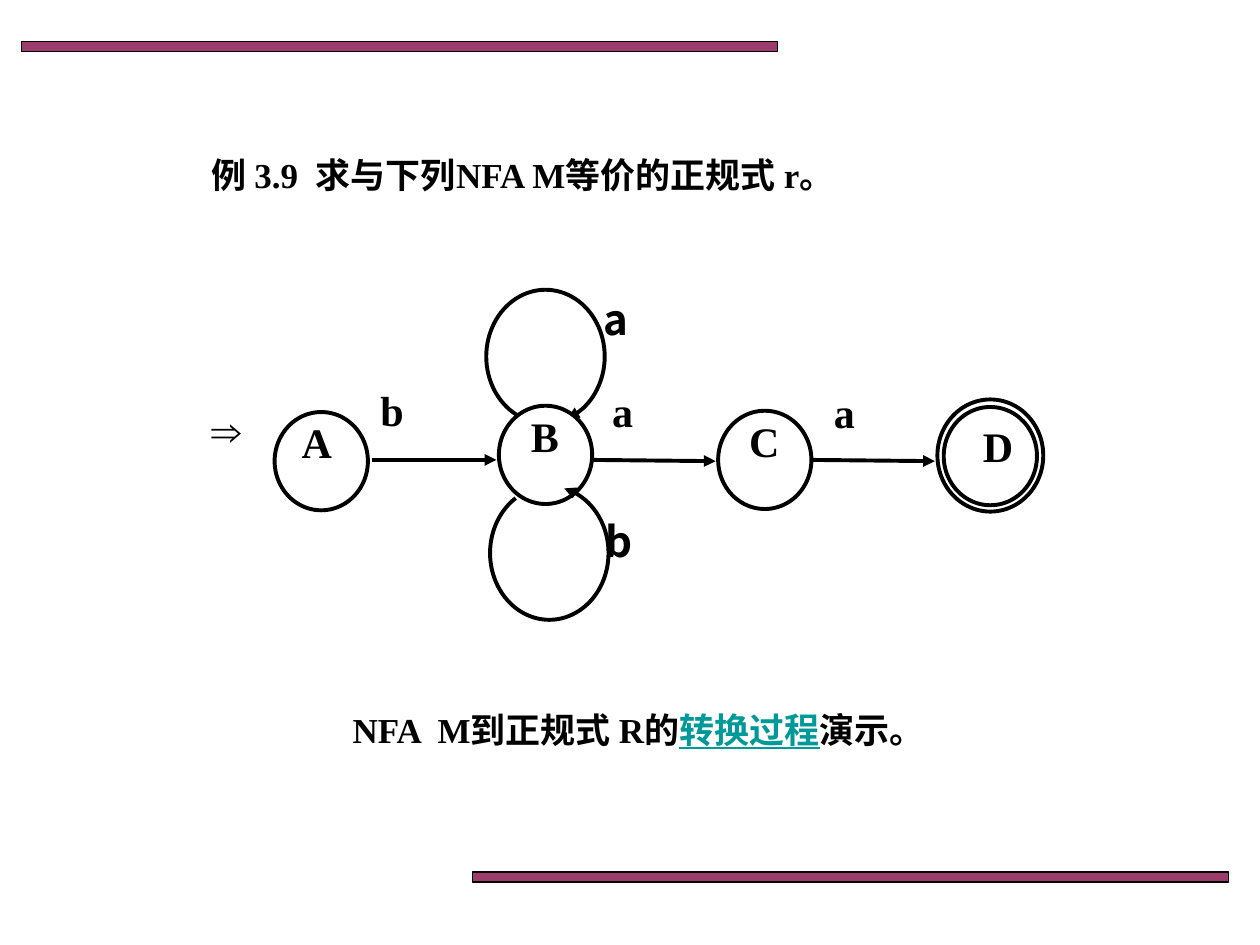
from lxml import etree
from pptx import Presentation
from pptx.dml.color import RGBColor
from pptx.enum import shapes, text
from pptx.oxml.ns import qn
from pptx.util import Inches, Pt

BLACK = RGBColor(0x00, 0x00, 0x00)
WHITE = RGBColor(0xFF, 0xFF, 0xFF)
PLUM = RGBColor(0x99, 0x33, 0x66)
TEAL = RGBColor(0x00, 0x99, 0x99)
SERIF, SANS = "Times New Roman", "Noto Sans CJK SC"

prs = Presentation()
prs.slide_width, prs.slide_height = Inches(10), Inches(7.5)
s = prs.slides.add_slide(prs.slide_layouts[6])


def add_text(x, y, w, h, runs, size=24, font=SERIF, align=None, wrap=True):
    tf = s.shapes.add_textbox(Inches(x), Inches(y), Inches(w), Inches(h)).text_frame
    tf.word_wrap = wrap
    p = tf.paragraphs[0]
    p.alignment = align
    for words, color in runs:
        r = p.add_run()
        r.text = words
        r.font.name, r.font.size, r.font.bold = font, Pt(size), True
        r.font.color.rgb = color
        if color == TEAL:
            r.font.underline = True


def add_outlined(kind, x, y, w, h, fill=None, width=2.25):
    sp = s.shapes.add_shape(kind, Inches(x), Inches(y), Inches(w), Inches(h))
    sp.shadow.inherit = False
    if fill is None:
        sp.fill.background()
    else:
        sp.fill.solid()
        sp.fill.fore_color.rgb = fill
    sp.line.color.rgb = BLACK
    sp.line.width = Pt(width)
    return sp


# Decorative bars, slightly transparent
for x, y in [(0.17, 0.33), (3.75, 6.92)]:
    sp = add_outlined(shapes.MSO_SHAPE.RECTANGLE, x, y, 6, 0.08, PLUM, 0.75)
    color = sp._element.spPr.find(qn("a:solidFill"))[0]
    etree.SubElement(color, qn("a:alpha")).set("val", "96000")

# Exercise statement
add_text(1.58, 1.17, 5.33, 0.43, [("例 3.9  求与下列NFA M等价的正规式 r。", BLACK)], 20)

# Self-loops of B: the upper one lies behind the states, the lower one in front
loops = [(3.86, 2.3, 115.5, 70.5, "tailEnd"), (3.89, 3.86, 283, 238.5, "headEnd")]
arcs = []
for x, y, start, end, arrow in loops:
    sp = add_outlined(shapes.MSO_SHAPE.ARC, x, y, 0.94, 1.06)
    # arc angles are stored in 1/60000 degree, adjustments in 1/100000
    sp.adjustments[0], sp.adjustments[1] = start * 0.6, end * 0.6
    etree.SubElement(sp.line._get_or_add_ln(), qn("a:" + arrow)).set("type", "triangle")
    arcs.append(sp)

# States: circle position, then name box position and width
states = [
    ("A", 2.18, 3.27, 2.18, 3.26, 0.67),
    ("B", 3.96, 3.22, 3.99, 3.21, 0.67),
    ("C", 5.7, 3.26, 5.73, 3.25, 0.67),
    ("D", 7.49, 3.23, 7.51, 3.29, 0.82),
]
for name, x, y, tx, ty, tw in states:
    add_outlined(shapes.MSO_SHAPE.OVAL, x, y, 0.74, 0.78, WHITE)
    add_text(tx, ty, tw, 0.77, [(name, BLACK)], align=text.PP_ALIGN.CENTER)

# Outer ring of the accepting state
add_outlined(shapes.MSO_SHAPE.OVAL, 7.44, 3.17, 0.84, 0.89)
s.shapes._spTree.append(arcs[1]._element)

# Transitions between states
for x, end_y in [(2.95, 3.65), (4.69, 3.66), (6.43, 3.66)]:
    cn = s.shapes.add_connector(
        shapes.MSO_CONNECTOR.STRAIGHT,
        Inches(x), Inches(3.65), Inches(x + 0.99), Inches(end_y))
    cn.line.color.rgb = BLACK
    cn.line.width = Pt(2.25)
    etree.SubElement(cn.line._get_or_add_ln(), qn("a:tailEnd")).set("type", "triangle")
    etree.SubElement(cn._element.spPr, qn("a:effectLst"))

# Transition labels and the start mark
labels = [
    ("⇒", 1.58, 3.16, SERIF),
    ("b", 2.92, 3.0, SERIF),
    ("a", 4.76, 3.01, SERIF),
    ("a", 6.52, 3.02, SERIF),
    ("a", 4.69, 2.28, SANS),
    ("b", 4.71, 4.04, SANS),
]
for label, x, y, font in labels:
    add_text(x, y, 0.67, 0.77, [(label, BLACK)], font=font)

# Closing line
add_text(2.7, 5.57, 4.8, 0.43,
         [("NFA  M到正规式 R的", BLACK), ("转换过程", TEAL), ("演示。", BLACK)],
         20, wrap=False)

prs.save("out.pptx")
